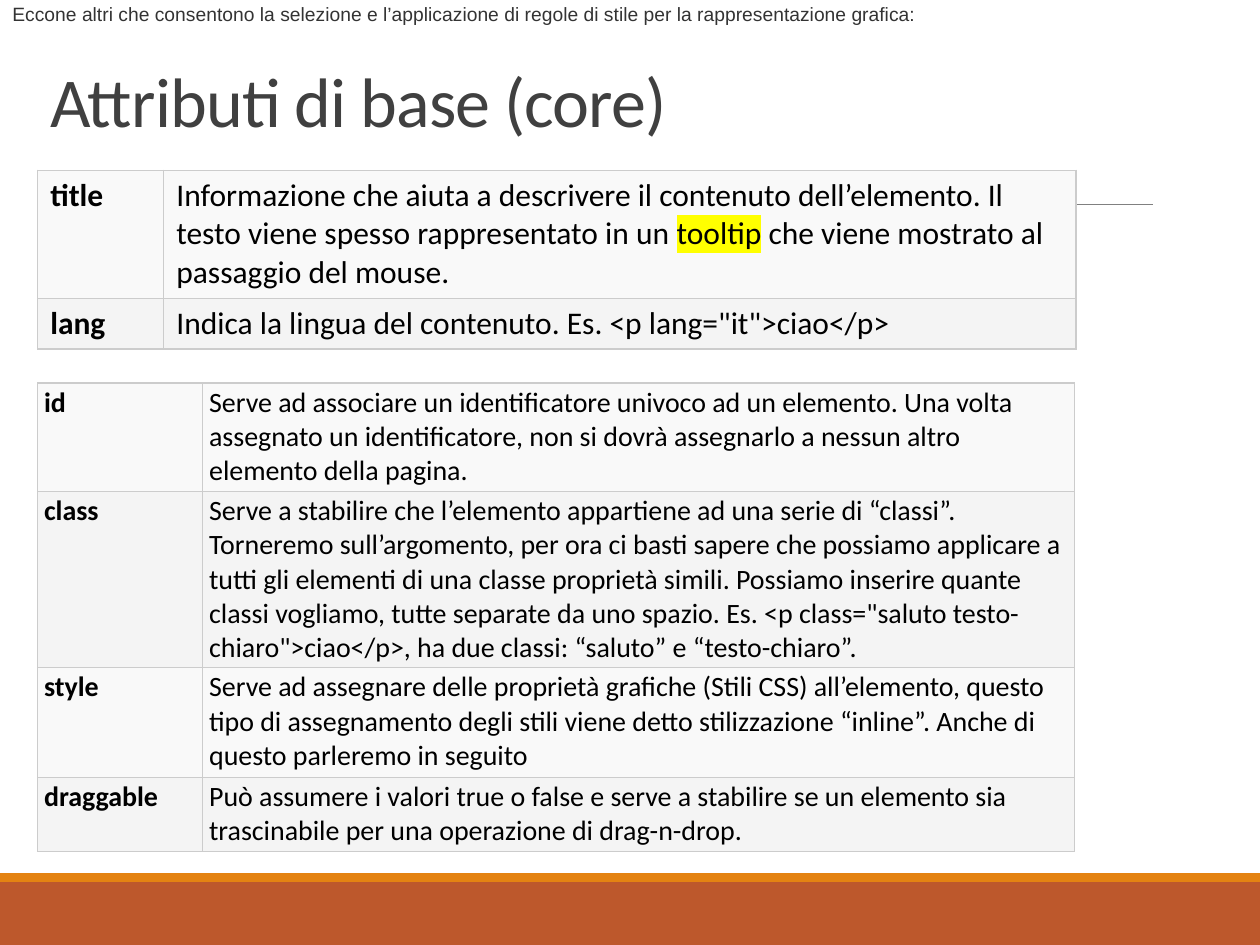
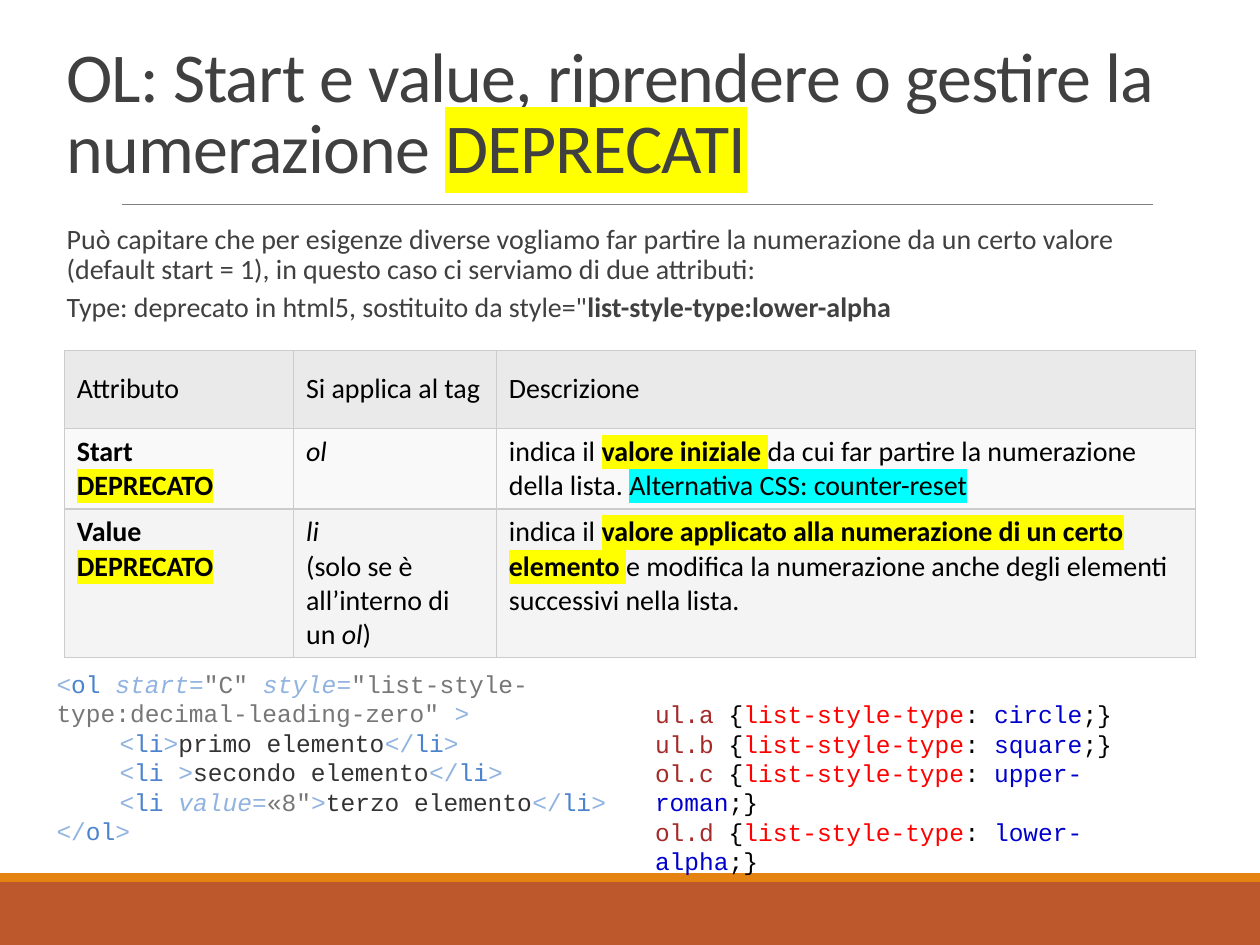
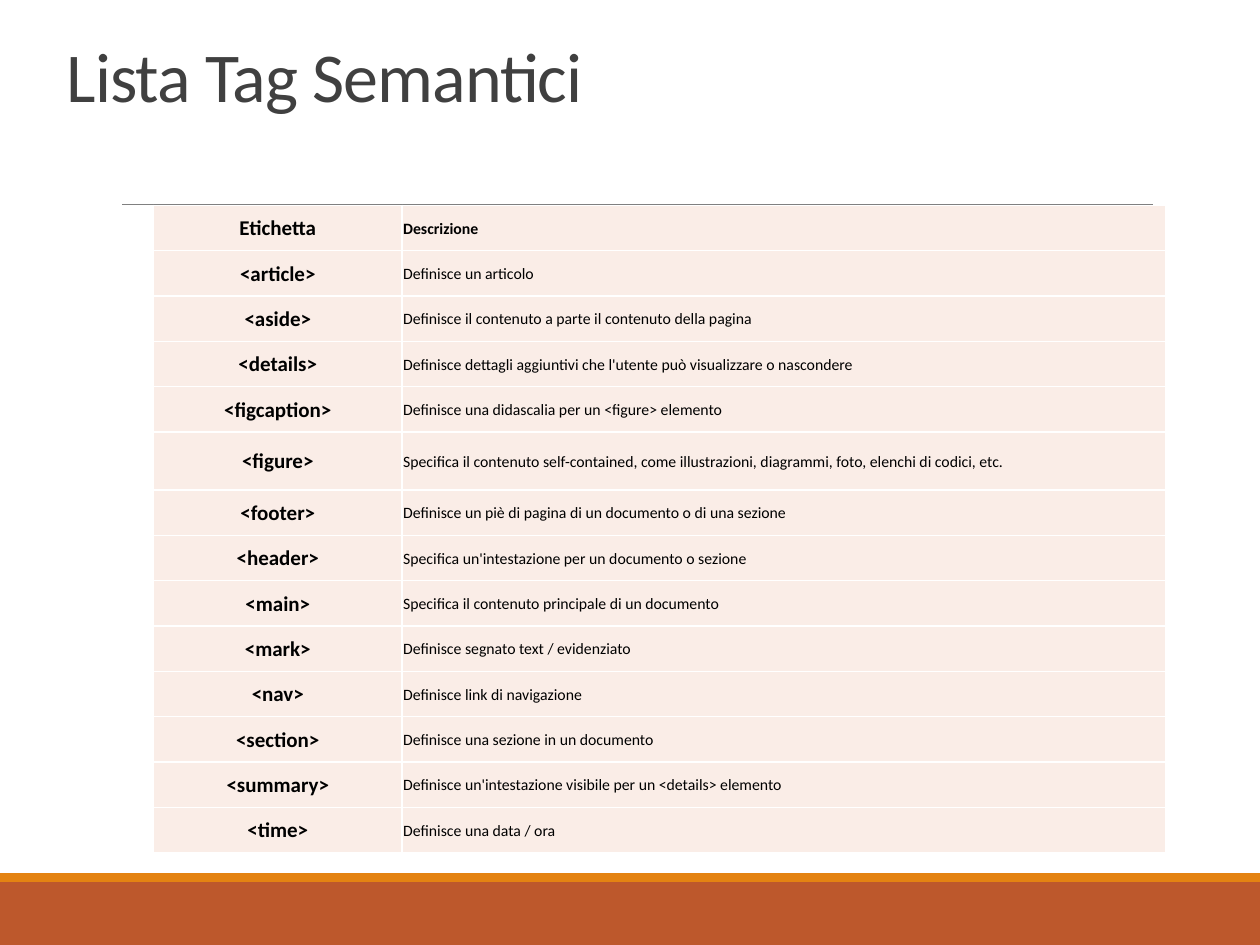
from lxml import etree
from pptx import Presentation
from pptx import util as u
from pptx.dml.color import RGBColor
from pptx.enum import shapes, text
from pptx.oxml.ns import qn

WIDTH, HEIGHT = 10, 7.5
COLORS = {
    "white": "FFFFFF", "black": "000000", "brick": "BD582C", "orange": "E48312",
    "rule": "808080", "ink": "404040", "note": "333333", "border": "CCCCCC",
    "header": "EAEAEA", "light": "F9F9F9", "dark": "F4F4F4", "rose": "FAEDE7",
    "yellow": "FFFF00", "cyan": "00FFFF", "angle": "91B3E0", "tag": "4B83CD",
    "string": "777777", "selector": "A52A2A", "property": "FF0000", "value": "0000CD",
}
STYLES = {
    "bold": {"bold": True},
    "italic": {"italic": True},
    "mark": {"highlight": "yellow"},
    "bold mark": {"bold": True, "highlight": "yellow"},
    "css": {"highlight": "cyan"},
    "attribute": {"color": "angle", "italic": True},
}
TITLE = {"name": "Calibri", "size": 40, "color": "ink", "spacing": -50}
BODY = {"name": "Calibri", "size": 16, "color": "ink"}
CODE = {"name": "Courier New", "size": 14, "color": "black"}
NOTE = {"name": "Arial", "size": 11, "color": "note"}
LARGE = {"name": "Calibri", "size": 18, "color": "black"}
MEDIUM = {**LARGE, "size": 16}
TAG = {**LARGE, "size": 12, "bold": True}
SMALL = {**LARGE, "size": 9}
PADDING = (0.1, 0.05, 0.1, 0.05)

BANNER = "Eccone altri che consentono la selezione e l’applicazione di regole di stile per la rappresentazione grafica:"
CORE_TITLE = [["Attributi di base (core)"]]
CORE_ROWS = [
    ("title", [["Informazione che aiuta a descrivere il contenuto dell’elemento. Il testo viene spesso rappresentato in un ",
                ("tooltip", "mark"), " che viene mostrato al passaggio del mouse."]]),
    ("lang", [['Indica la lingua del contenuto. Es. <p lang="it">ciao</p>']]),
]
STYLE_ROWS = [
    ("id", [["Serve ad associare un identificatore univoco ad un elemento. Una volta assegnato un identificatore, non si dovrà assegnarlo a nessun altro elemento della pagina."]]),
    ("class", [["Serve a stabilire che l’elemento appartiene ad una serie di “classi”. Torneremo sull’argomento, per ora ci basti sapere che possiamo applicare a tutti gli elementi di una classe proprietà simili. Possiamo inserire quante classi vogliamo, tutte separate da uno spazio. Es. <p class=\"saluto testo-chiaro\">ciao</p>, ha due classi: “saluto” e “testo-chiaro”."]]),
    ("style", [["Serve ad assegnare delle proprietà grafiche (Stili CSS) all’elemento, questo tipo di assegnamento degli stili viene detto stilizzazione “inline”. Anche di questo parleremo in seguito"]]),
    ("draggable", [["Può assumere i valori true o false e serve a stabilire se un elemento sia trascinabile per una operazione di drag-n-drop."]]),
]
LIST_TITLE = [["OL: Start e value, riprendere o gestire la numerazione ", ("DEPRECATI", "mark")]]
LIST_INTRO = [
    ["Può capitare che per esigenze diverse vogliamo far partire la numerazione da un certo valore (default start = 1), in questo caso ci serviamo di due attributi:"],
    ['Type: deprecato in html5, sostituito da style="', ("list-style-type:lower-alpha", "bold")],
]
DEPRECATED = [("DEPRECATO", "bold mark")]
LIST_ROWS = [
    ([["Attributo"]], [["Si applica al tag"]], [["Descrizione"]]),
    ([[("Start", "bold")], DEPRECATED], [[("ol", "italic")]],
     [["indica il ", ("valore iniziale ", "bold mark"),
       "da cui far partire la numerazione della lista. ",
       ("Alternativa CSS: counter-reset", "css")]]),
    ([[("Value", "bold")], DEPRECATED],
     [[("li", "italic")], ["(solo se è all’interno di un ", ("ol", "italic"), ")"]],
     [["indica il ", ("valore applicato alla numerazione di un certo elemento ", "bold mark"),
       "e modifica la numerazione anche degli elementi successivi nella lista."]]),
]
OL_START = [
    ("<", "angle"), ("ol ", "tag"), ("start", "attribute"), ("=", "angle"), ('"C" ', "string"),
    ("style", "attribute"), ("=", "angle"),
    ('"list-style-type:decimal-leading-zero" ', "string"), (">", "angle"),
]
OL_END = [("</", "angle"), ("ol", "tag"), (">", "angle")]
OL_ITEMS = [
    ("primo elemento", []),
    ("secondo elemento", [(" ", "angle")]),
    ("terzo elemento", [(" ", "tag"), ("value", "attribute"), ("=", "angle"), ('«8"', "string")]),
]
CSS_RULES = [("ul.a", "circle"), ("ul.b", "square"), ("ol.c", "upper-roman"), ("ol.d", "lower-alpha")]
SEMANTIC_TITLE = [["Lista Tag Semantici"]]
SEMANTIC_ROWS = [
    ("Etichetta", [[("Descrizione", "bold")]]),
    ("<article>", "Definisce un articolo"),
    ("<aside>", "Definisce il contenuto a parte il contenuto della pagina"),
    ("<details>", "Definisce dettagli aggiuntivi che l'utente può visualizzare o nascondere"),
    ("<figcaption>", "Definisce una didascalia per un <figure> elemento"),
    ("<figure>", "Specifica il contenuto self-contained, come illustrazioni, diagrammi, foto, elenchi di codici, etc."),
    ("<footer>", "Definisce un piè di pagina di un documento o di una sezione"),
    ("<header>", "Specifica un'intestazione per un documento o sezione"),
    ("<main>", "Specifica il contenuto principale di un documento"),
    ("<mark>", "Definisce segnato text / evidenziato"),
    ("<nav>", "Definisce link di navigazione"),
    ("<section>", "Definisce una sezione in un documento"),
    ("<summary>", "Definisce un'intestazione visibile per un <details> elemento"),
    ("<time>", "Definisce una data / ora"),
]


def rgb(color):
    return RGBColor.from_string(COLORS[color])


def inches(values):
    return [u.Inches(value) for value in values]


def set_values(target, values):
    for name, value in values.items():
        setattr(target, name, value)


def add_color(parent, color):
    etree.SubElement(parent, qn("a:srgbClr"), val=COLORS[color])


def format_run(run, style):
    font = run.font
    font.color.rgb = rgb(style["color"])
    set_values(font, {"name": style["name"], "size": u.Pt(style["size"]),
                      "bold": style.get("bold", False), "italic": style.get("italic", False)})
    properties = run._r.get_or_add_rPr()
    if "spacing" in style:
        properties.set("spc", str(style["spacing"]))
    if "highlight" in style:
        highlight = etree.Element(qn("a:highlight"))
        add_color(highlight, style["highlight"])
        properties.find(qn("a:latin")).addprevious(highlight)


def write(frame, paragraphs, base, padding=PADDING, anchor="TOP", layout=None, indents=None):
    if isinstance(paragraphs, str):
        paragraphs = [[paragraphs]]
    sides = ("margin_left", "margin_top", "margin_right", "margin_bottom")
    set_values(frame, {**dict(zip(sides, inches(padding))), "word_wrap": True,
                       "vertical_anchor": getattr(text.MSO_ANCHOR, anchor)})
    for index, pieces in enumerate(paragraphs):
        paragraph = frame.add_paragraph() if index else frame.paragraphs[0]
        set_values(paragraph, {"alignment": text.PP_ALIGN.LEFT, **(layout or {})})
        if indents and indents[index]:
            paragraph._p.get_or_add_pPr().set("marL", str(u.Inches(indents[index])))
        for piece in pieces:
            words, style = piece if isinstance(piece, tuple) else (piece, None)
            run = paragraph.add_run()
            run.text = words
            format_run(run, {**base, **(STYLES.get(style, {"color": style}) if style else {})})


def add_text(slide, box, paragraphs, base, **options):
    write(slide.shapes.add_textbox(*inches(box)).text_frame, paragraphs, base, **options)


def add_band(slide, top, height, color):
    band = slide.shapes.add_shape(shapes.MSO_SHAPE.RECTANGLE, *inches((0, top, WIDTH, height)))
    band.shadow.inherit = False
    band.fill.solid()
    band.fill.fore_color.rgb = rgb(color)
    band.line.fill.background()
    return band


def border_cell(cell, color, width):
    properties = cell._tc.get_or_add_tcPr()
    for index, side in enumerate("LRTB"):
        line = etree.Element(qn(f"a:ln{side}"), w=str(u.Pt(width)))
        add_color(etree.SubElement(line, qn("a:solidFill")), color)
        properties.insert(index, line)


def add_table(slide, corner, columns, heights, rows, fills, bases, border=("border", 0.75),
              padding=PADDING, anchors=None, layouts=None):
    box = (*corner, sum(columns), sum(heights))
    table = slide.shapes.add_table(len(rows), len(columns), *inches(box)).table
    set_values(table, {"first_row": False, "horz_banding": False})
    for column, width in zip(table.columns, columns):
        column.width = u.Inches(width)
    for row_index, (row, height) in enumerate(zip(rows, heights)):
        table.rows[row_index].height = u.Inches(height)
        for column_index, content in enumerate(row):
            cell = table.cell(row_index, column_index)
            write(cell.text_frame, content, bases[column_index],
                  layout=layouts[column_index] if layouts else None)
            sides = ("margin_left", "margin_top", "margin_right", "margin_bottom")
            anchor = anchors[row_index] if anchors else "TOP"
            set_values(cell, {**dict(zip(sides, inches(padding))),
                              "vertical_anchor": getattr(text.MSO_ANCHOR, anchor)})
            body = cell.text_frame._txBody.find(qn("a:bodyPr"))
            body.attrib.clear()
            cell.fill.solid()
            cell.fill.fore_color.rgb = rgb(fills[row_index])
            border_cell(cell, *border)


def add_slide(presentation, title, corner=(0.43, 0.31)):
    slide = presentation.slides.add_slide(presentation.slide_layouts[6])
    add_band(slide, 7, 0.5, "brick")
    add_band(slide, 6.93, 0.07, "orange")
    rule = slide.shapes.add_connector(shapes.MSO_CONNECTOR.STRAIGHT, *inches((0.97, 1.62, 9.15, 1.62)))
    rule.line.color.rgb = rgb("rule")
    rule.line.width = u.Pt(0.5)
    etree.SubElement(rule._element.spPr, qn("a:effectLst"))
    add_text(slide, (*corner, 9.06, 1.31), title, TITLE, layout={"line_spacing": 0.85})
    return slide


def list_item(content, attributes):
    return [("<", "angle"), ("li", "tag"), *attributes, (">", "angle"), (content, "note"),
            ("</", "angle"), ("li", "tag"), (">", "angle")]


def css_rule(selector, value):
    return [(f"{selector} ", "selector"), "{", ("list-style-type", "property"), ": ",
            (value, "value"), ";}"]


def build_core(presentation):
    slide = add_slide(presentation, CORE_TITLE, (0.3, 0.51))
    stripes = ["light", "dark"] * 2
    add_table(slide, (0.3, 1.35), (1, 7.24), (1.02, 0.4), CORE_ROWS, stripes,
              ({**LARGE, "bold": True}, LARGE))
    add_table(slide, (0.3, 3.04), (1.31, 6.92), (0.86, 1.4, 0.87, 0.59), STYLE_ROWS, stripes,
              ({**MEDIUM, "bold": True}, MEDIUM), padding=(0.05, 0.02, 0.05, 0.02))
    banner = add_band(slide, 0, 0.5, "white")
    write(banner.text_frame, BANNER, NOTE, padding=(0.1, 0.02, 0.1, 0))


def build_list(presentation):
    slide = add_slide(presentation, LIST_TITLE)
    spacing = {"line_spacing": 0.9, "space_before": u.Pt(2), "space_after": u.Pt(2)}
    add_text(slide, (0.43, 1.74, 9.06, 1), LIST_INTRO, BODY,
             padding=(0, 0.05, 0, 0.05), layout=spacing, indents=(0.1, 0.1))
    add_table(slide, (0.51, 2.78), (1.82, 1.61, 5.55), (0.62, 0.64, 1.18), LIST_ROWS,
              ("header", "light", "dark"), [MEDIUM] * 3, anchors=("MIDDLE", "TOP", "TOP"))
    items = [list_item(*item) for item in OL_ITEMS]
    add_text(slide, (0.35, 5.26, 4.75, 1.51), [OL_START, *items, OL_END], CODE,
             indents=(0, *[0.5] * len(items), 0))
    add_text(slide, (5.1, 5.5, 4.11, 1.04), [css_rule(*rule) for rule in CSS_RULES], CODE)


def build_semantic(presentation):
    slide = add_slide(presentation, SEMANTIC_TITLE)
    count = len(SEMANTIC_ROWS)
    heights = [0.46 if name == "<figure>" else 0.36 for name, _ in SEMANTIC_ROWS]
    add_table(slide, (1.22, 1.63), (1.97, 6.06), heights, SEMANTIC_ROWS, ["rose"] * count,
              (TAG, SMALL), border=("white", 1), padding=(0.01, 0.01, 0.01, 0),
              anchors=["MIDDLE"] * count, layouts=({"alignment": text.PP_ALIGN.CENTER}, None))


def main():
    presentation = Presentation()
    set_values(presentation, {"slide_width": u.Inches(WIDTH), "slide_height": u.Inches(HEIGHT)})
    for build in (build_core, build_list, build_semantic):
        build(presentation)
    presentation.save("out.pptx")


if __name__ == "__main__":
    main()
